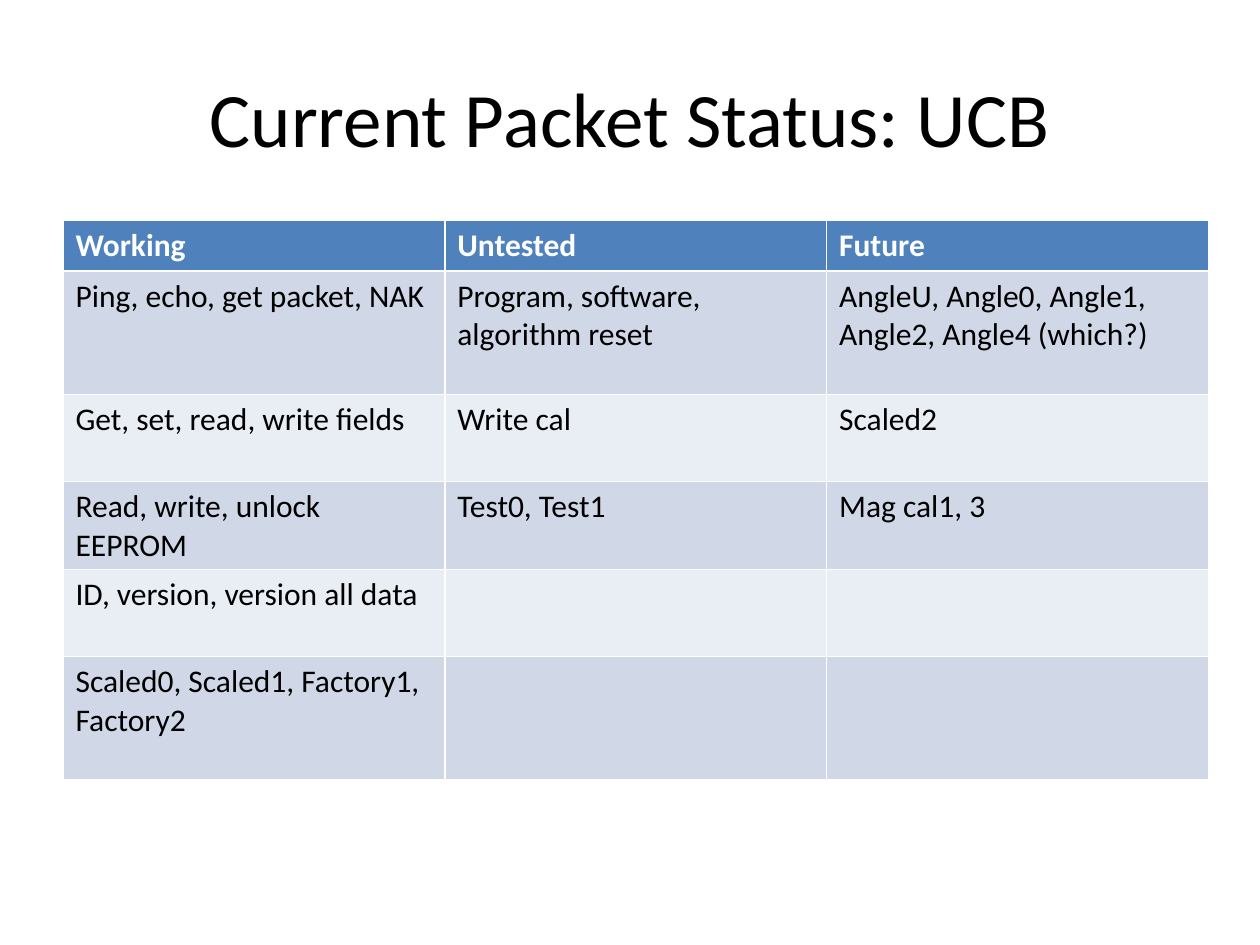
from pptx import Presentation
from pptx.dml.color import RGBColor
from pptx.enum.text import MSO_ANCHOR, PP_ALIGN
from pptx.util import Inches, Pt

BLACK = RGBColor(0x00, 0x00, 0x00)
WHITE = RGBColor(0xFF, 0xFF, 0xFF)
HEADER = RGBColor(0x4F, 0x81, 0xBD)
BANDS = (RGBColor(0xD0, 0xD8, 0xE8), RGBColor(0xE9, 0xED, 0xF4))

ROWS = [
    ("Working", "Untested", "Future"),
    ("Ping, echo, get packet, NAK", "Program, software, algorithm reset",
     "AngleU, Angle0, Angle1, Angle2, Angle4 (which?)"),
    ("Get, set, read, write fields", "Write cal", "Scaled2"),
    ("Read, write, unlock EEPROM", "Test0, Test1", "Mag cal1, 3"),
    ("ID, version, version all data", "", ""),
    ("Scaled0, Scaled1, Factory1, Factory2", "", ""),
]
ROW_HEIGHTS = (0.4, 0.98, 0.69, 0.69, 0.69, 0.98)
COL_WIDTH = 3.03


class Deck:
    """Holds the text style and the current slide."""
    font = "Calibri"

    def __init__(self, prs):
        self.s = prs.slides.add_slide(prs.slide_layouts[6])

    def style(self, p, size, color, bold=False):
        p.font.name = self.font
        p.font.size = Pt(size)
        p.font.color.rgb = color
        p.font.bold = bold

    def title(self, text, x, y, w, h):
        box = self.s.shapes.add_textbox(Inches(x), Inches(y), Inches(w), Inches(h))
        tf = box.text_frame
        tf.word_wrap = True
        tf.vertical_anchor = MSO_ANCHOR.MIDDLE
        p = tf.paragraphs[0]
        p.text = text
        p.alignment = PP_ALIGN.CENTER
        self.style(p, 44, BLACK)

    def table(self, rows, x, y, col_width, heights):
        n_cols = len(rows[0])
        # The default table style draws the white cell borders
        table = self.s.shapes.add_table(
            len(rows), n_cols, Inches(x), Inches(y),
            Inches(col_width * n_cols), Inches(sum(heights))).table
        for col in table.columns:
            col.width = Inches(col_width)
        for i, (texts, height) in enumerate(zip(rows, heights)):
            table.rows[i].height = Inches(height)
            is_header = i == 0
            for cell, text in zip(table.rows[i].cells, texts):
                cell.fill.solid()
                cell.fill.fore_color.rgb = HEADER if is_header else BANDS[(i - 1) % 2]
                p = cell.text_frame.paragraphs[0]
                p.text = text
                self.style(p, 18, WHITE if is_header else BLACK, is_header)


def main():
    prs = Presentation()
    prs.slide_width, prs.slide_height = Inches(10), Inches(7.5)
    deck = Deck(prs)

    # Heading
    deck.title("Current Packet Status: UCB", 0.5, 0.3, 9, 1.25)

    # Status table
    deck.table(ROWS, 0.5, 1.75, COL_WIDTH, ROW_HEIGHTS)

    prs.save("out.pptx")


if __name__ == "__main__":
    main()
